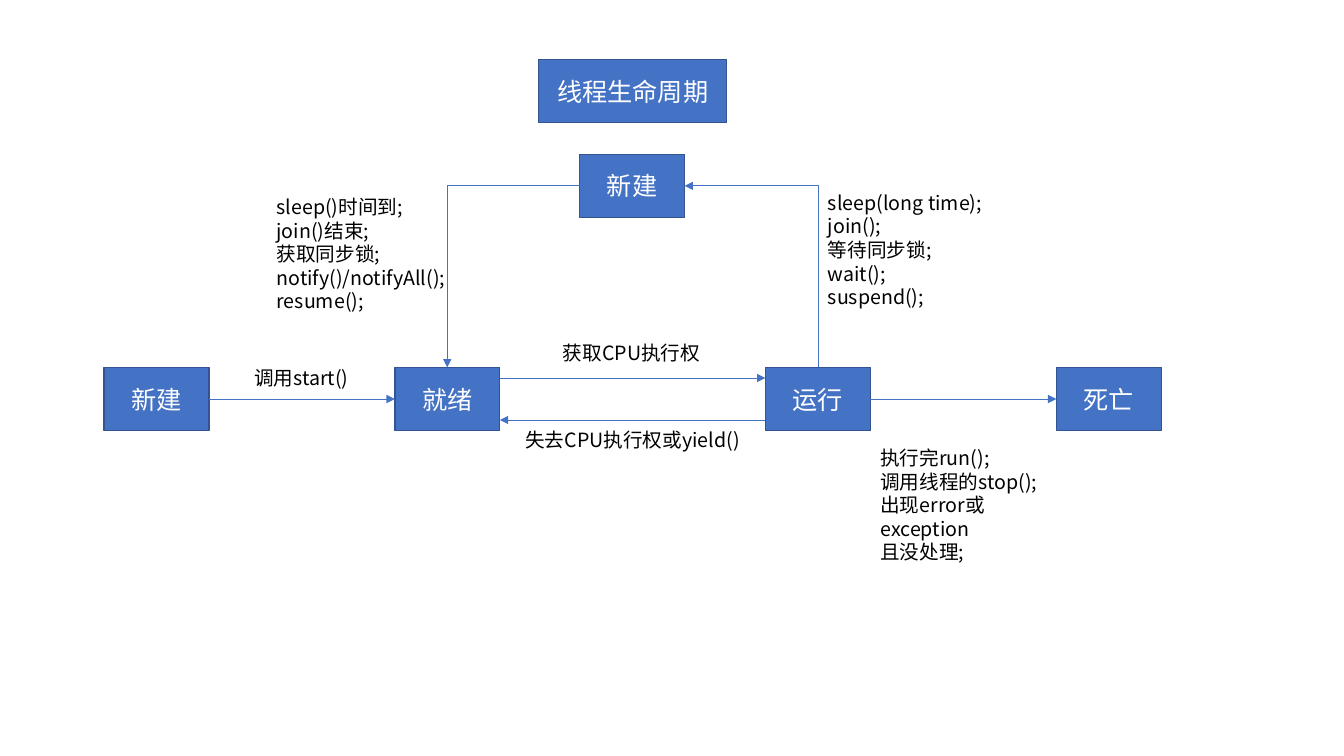
from lxml.etree import SubElement
from pptx import Presentation
from pptx.dml.color import RGBColor
from pptx.enum.shapes import MSO_CONNECTOR, MSO_SHAPE
from pptx.enum.text import MSO_ANCHOR, MSO_AUTO_SIZE, PP_ALIGN
from pptx.oxml.ns import qn
from pptx.util import Inches, Pt

BLUE = RGBColor(0x44, 0x72, 0xC4)
EDGE = RGBColor(0x32, 0x54, 0x91)
WHITE = RGBColor(0xFF, 0xFF, 0xFF)
BLACK = RGBColor(0, 0, 0)
TOP, LEFT, RIGHT = 0, 1, 3
COLS, ROWS = 128, 72
WIDE, HIGH = 10, 6
ROW = 35


class Chart:
    """Draws boxes, labels and arrows on a slide grid of 128 by 72 cells."""

    font = "Noto Sans CJK SC"

    def __init__(self, deck):
        self.slide = deck.slides.add_slide(deck.slide_layouts[6])
        self.col = deck.slide_width / COLS
        self.row = deck.slide_height / ROWS

    def place(self, x, y, w, h):
        return [round(v) for v in (x * self.col, y * self.row, w * self.col, h * self.row)]

    def letter(self, frame, text, size, color, align):
        frame.word_wrap = True
        frame.text = text
        for para in frame.paragraphs:
            para.alignment = align
            for run in para.runs:
                run.font.size = Pt(size)
                run.font.name = self.font
                run.font.color.rgb = color
                SubElement(run.font._element, qn("a:ea")).set("typeface", self.font)

    def box(self, text, x, y, w=WIDE):
        shape = self.slide.shapes.add_shape(MSO_SHAPE.RECTANGLE, *self.place(x, y, w, HIGH))
        shape.shadow.inherit = False
        shape.fill.solid()
        shape.fill.fore_color.rgb = BLUE
        shape.line.color.rgb = EDGE
        shape.line.width = Pt(1)
        shape.text_frame.vertical_anchor = MSO_ANCHOR.MIDDLE
        self.letter(shape.text_frame, text, 18, WHITE, PP_ALIGN.CENTER)
        return shape

    def label(self, text, x, y, w, h=3.25, align=PP_ALIGN.CENTER):
        frame = self.slide.shapes.add_textbox(*self.place(x, y, w, h)).text_frame
        self.letter(frame, text, 14, BLACK, align)
        frame.auto_size = MSO_AUTO_SIZE.SHAPE_TO_FIT_TEXT

    def notes(self, lines, x, y, w=20):
        self.label("\n".join(lines), x, y, w, 2.25 * len(lines) + 1, PP_ALIGN.LEFT)

    def arrow(self, x1, y1, x2, y2, kind=MSO_CONNECTOR.STRAIGHT, end="a:tailEnd"):
        line = self.slide.shapes.add_connector(kind, *self.place(x1, y1, x2, y2))
        line.line.color.rgb = BLUE
        line.line.width = Pt(0.5)
        SubElement(line.line._get_or_add_ln(), qn(end)).set("type", "triangle")
        SubElement(line._element.spPr, qn("a:effectLst"))
        return line

    def link(self, start, out, stop, into, **style):
        line = self.arrow(0, 0, 1, 1, **style)
        line.begin_connect(start, out)
        line.end_connect(stop, into)
        return line

    def bend(self, start, out, stop, end="a:tailEnd"):
        line = self.link(start, out, stop, TOP, kind=MSO_CONNECTOR.ELBOW, end=end)
        line._element.spPr.find(qn("a:prstGeom")).set("prst", "bentConnector2")


deck = Presentation()
deck.slide_width, deck.slide_height = Inches(13.33), Inches(7.5)
chart = Chart(deck)

chart.box("线程生命周期", 51.3, 5.7, 17.9)
states = zip(("新建", "就绪", "运行", "死亡"), (9.9, 37.6, 72.9, 100.6))
born, ready, run, dead = [chart.box(name, x, ROW) for name, x in states]
wait = chart.box("新建", 55.2, 14.7)

chart.link(born, RIGHT, ready, LEFT)
chart.link(run, RIGHT, dead, LEFT)
chart.bend(wait, LEFT, ready)
chart.bend(wait, RIGHT, run, "a:headEnd")
chart.arrow(47.6, ROW + 1, 72.9, ROW + 1)
chart.arrow(72.9, ROW + 5, 47.6, ROW + 5)

chart.label("调用start()", 21.9, 34.4, 13.6)
chart.label("获取CPU执行权", 52.3, 32, 15.7)
chart.label("失去CPU执行权或yield()", 49, 40.3, 22.5)
chart.notes(("执行完run();", "调用线程的stop();", "出现error或exception", "且没处理;"), 82.9, 42)
chart.notes(("sleep(long time);", "join();", "等待同步锁;", "wait();", "suspend();"), 77.9, 17.7)
chart.notes(("sleep()时间到;", "join()结束;", "获取同步锁;", "notify()/notifyAll();", "resume();"), 25.4, 18.1)

deck.save("out.pptx")
